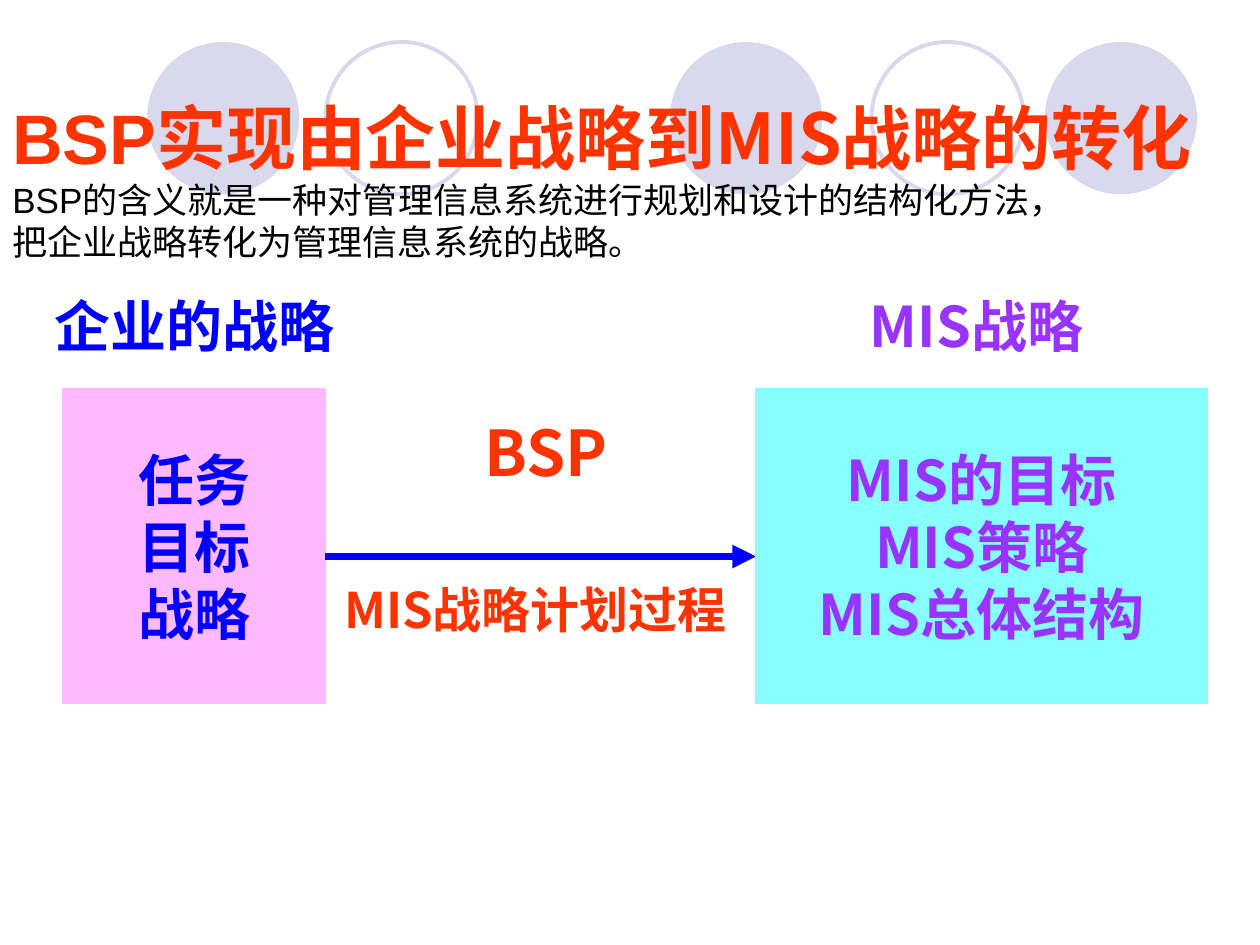
from lxml import etree
from pptx import Presentation
from pptx.dml.color import RGBColor
from pptx.enum.shapes import MSO_CONNECTOR as CONN, MSO_SHAPE as SHAPE
from pptx.enum.text import MSO_ANCHOR as ANCHOR, MSO_AUTO_SIZE as AUTO, PP_ALIGN as ALIGN
from pptx.oxml.ns import qn
from pptx.util import Pt

PX = 7620  # EMU per px, 120 px to the inch
COLORS = {
    "circle": "D9D8EC", "pink": "FFB9FF", "cyan": "87FFFF", "blue": "0000FF",
    "purple": "9933FF", "red": "FF3300", "black": "000000",
}
SERIF, SANS, CJK = "Times New Roman", "Arial", "Noto Sans CJK SC"


def rgb(name):
    return RGBColor.from_string(COLORS[name])


def add_run(p, text, size=32, font=CJK, color="black", bold=True):
    r = p.add_run()
    r.text = text
    f = r.font
    f.size, f.bold = Pt(size), bold
    f.color.rgb = rgb(color)
    f.name = font
    etree.SubElement(r._r.get_or_add_rPr(), qn("a:ea"), typeface=CJK)


class Deck:
    def __init__(self, width, height):
        self.prs = Presentation()
        self.prs.slide_width, self.prs.slide_height = width * PX, height * PX
        self.s = self.prs.slides.add_slide(self.prs.slide_layouts[6])

    def shape(self, kind, box, fill=None, line=None, weight=0.75):
        sp = self.s.shapes.add_shape(kind, *(v * PX for v in box))
        sp.shadow.inherit = False
        if fill:
            sp.fill.solid()
            sp.fill.fore_color.rgb = rgb(fill)
        else:
            sp.fill.background()
        if line:
            sp.line.color.rgb = rgb(line)
            sp.line.width = Pt(weight)
        else:
            sp.line.fill.background()
        return sp

    def fill_text(self, sp, paragraphs, align=ALIGN.CENTER):
        """Each paragraph is a list of (text, format) runs."""
        tf = sp.text_frame
        tf.word_wrap, tf.auto_size = False, AUTO.NONE
        tf.vertical_anchor = ANCHOR.MIDDLE
        for i, runs in enumerate(paragraphs):
            p = tf.add_paragraph() if i else tf.paragraphs[0]
            p.alignment = align
            for text, style in runs:
                add_run(p, text, **style)

    def panel(self, box, fill, lines, **style):
        sp = self.shape(SHAPE.RECTANGLE, box, fill, fill)
        self.fill_text(sp, [[(line, style)] for line in lines])

    def text(self, box, paragraphs, align=ALIGN.CENTER):
        sp = self.s.shapes.add_textbox(*(v * PX for v in box))
        self.fill_text(sp, paragraphs, align)

    def label(self, box, text, **style):
        self.text(box, [[(text, style)]])

    def arrow(self, x1, y1, x2, y2, color, weight):
        c = self.s.shapes.add_connector(CONN.STRAIGHT, x1 * PX, y1 * PX, x2 * PX, y2 * PX)
        c.line.color.rgb = rgb(color)
        c.line.width = Pt(weight)
        sp_pr = c._element.spPr
        etree.SubElement(sp_pr.find(qn("a:ln")), qn("a:tailEnd"), type="triangle")
        etree.SubElement(sp_pr, qn("a:effectLst"))


def main():
    deck = Deck(1200, 900)

    # Background circles
    for x in (638, 995, 140):
        deck.shape(SHAPE.OVAL, (x, 40, 145, 145), fill="circle")
    for x in (830, 310):
        deck.shape(SHAPE.OVAL, (x, 40, 145, 145), line="circle", weight=2.25)

    # Strategy panels and the arrow between them
    business = dict(font=SERIF, color="blue")
    mis = dict(color="purple")
    deck.panel((60, 370, 250, 300), "pink", ["任务", "目标", "战略"], **business)
    deck.arrow(310, 530, 720, 530, "blue", 4.5)
    deck.panel((720, 370, 430, 300), "cyan", ["MIS的目标", "MIS策略", "MIS总体结构"], **mis)

    # Labels above the panels and around the arrow
    deck.label((50, 290, 270, 40), "企业的战略", **business)
    deck.label((780, 280, 300, 60), "MIS战略", **mis)
    deck.label((430, 400, 180, 60), "BSP", size=36, color="red")
    deck.label((350, 550, 320, 60), "MIS战略计划过程", size=28, color="red")

    # Title and definition
    title = dict(size=40, color="red")
    body = dict(size=20, font=SANS, bold=False)
    deck.text((0, 70, 1140, 200), [
        [("BSP", dict(title, font=SANS)), ("实现由企业战略到MIS战略的转化", title)],
        [("BSP的含义就是一种对管理信息系统进行规划和设计的结构化方法，", body)],
        [("把企业战略转化为管理信息系统的战略。", body)],
    ], ALIGN.LEFT)

    deck.prs.save("out.pptx")


if __name__ == "__main__":
    main()
